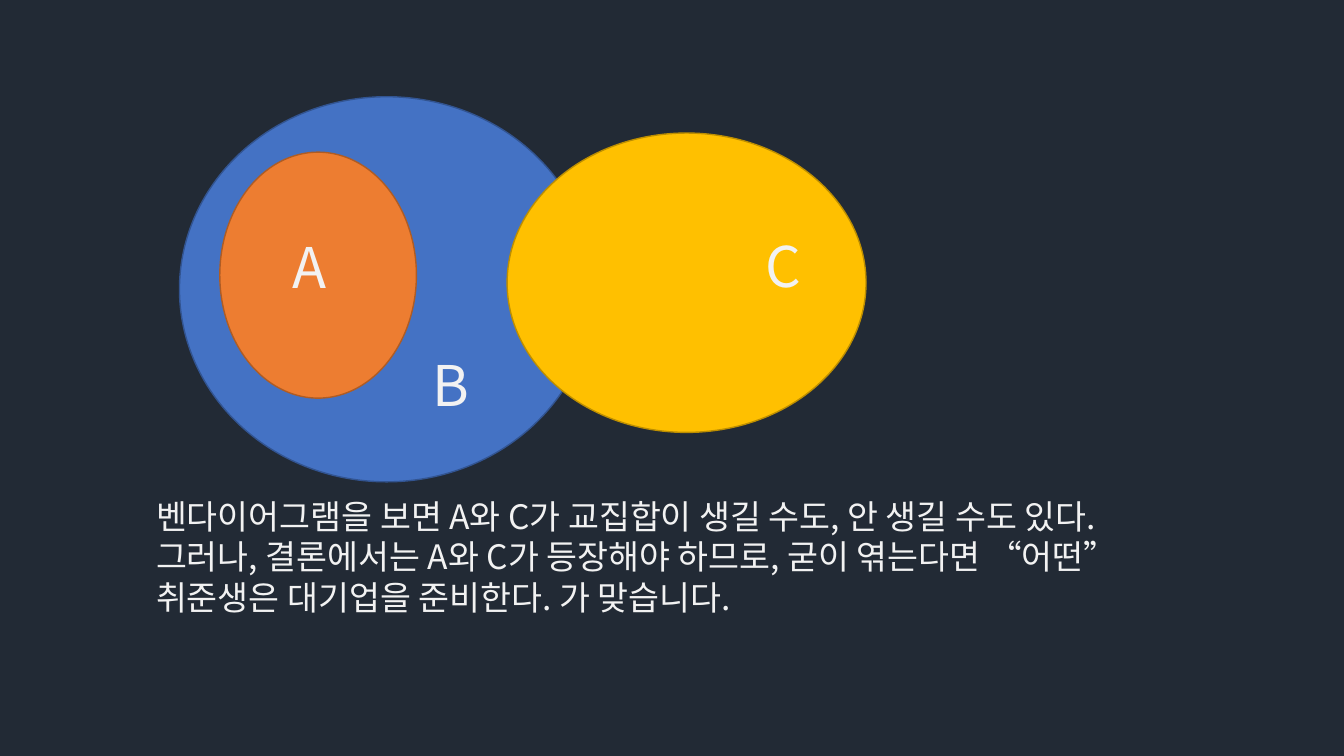
from pptx import Presentation
from pptx import util as u
from pptx.dml.color import RGBColor
from pptx.enum import shapes, text
from pptx.oxml.ns import qn
from lxml import etree

FONT = "Noto Sans CJK KR"
COLORS = {
    "back": "222A35", "text": "F2F2F2",
    "blue": "4472C4", "blue_edge": "325491",
    "orange": "ED7D31", "orange_edge": "AF5C24",
    "gold": "FFC000", "gold_edge": "BD8E00",
}


def rgb(name):
    """Return the named colour."""
    return RGBColor.from_string(COLORS[name])


def add_text(s, words, box, size):
    """Add a wrapped text box in the slide's font."""
    tf = s.shapes.add_textbox(*map(u.Inches, box)).text_frame
    tf.word_wrap = True
    tf.auto_size = text.MSO_AUTO_SIZE.SHAPE_TO_FIT_TEXT
    r = tf.paragraphs[0].add_run()
    r.text = words
    for key, value in {"size": u.Pt(size), "name": FONT}.items():
        setattr(r.font, key, value)
    r.font.color.rgb = rgb("text")
    etree.SubElement(r.font._element, qn("a:ea"), typeface=FONT)


prs = Presentation()
prs.slide_width, prs.slide_height = u.Inches(13.33), u.Inches(7.5)
s = prs.slides.add_slide(prs.slide_layouts[6])
s.background.fill.solid()
s.background.fill.fore_color.rgb = rgb("back")

# Venn sets, back to front: colour, ellipse, label, label corner
venn = [
    ("blue", (1.78, 0.96, 4.11, 3.82), "B", (4.19, 3.43)),
    ("orange", (2.18, 1.51, 1.95, 2.44), "A", (2.8, 2.26)),
    ("gold", (5.03, 1.32, 3.56, 2.97), "C", (7.49, 2.25)),
]
for color, box, label, corner in venn:
    sp = s.shapes.add_shape(shapes.MSO_SHAPE.OVAL, *map(u.Inches, box))
    sp.shadow.inherit = False
    sp.fill.solid()
    sp.fill.fore_color.rgb = rgb(color)
    sp.line.color.rgb = rgb(color + "_edge")
    sp.line.width = u.Pt(1)
    add_text(s, label, (*corner, 1.33, 0.77), 40)

add_text(
    s,
    "벤다이어그램을 보면 A와 C가 교집합이 생길 수도, 안 생길 수도 있다. "
    "그러나, 결론에서는 A와 C가 등장해야 하므로, 굳이 엮는다면 "
    "“어떤” 취준생은 대기업을 준비한다. 가 맞습니다.",
    (1.45, 4.87, 9.8, 1.31), 24)

prs.save("out.pptx")
